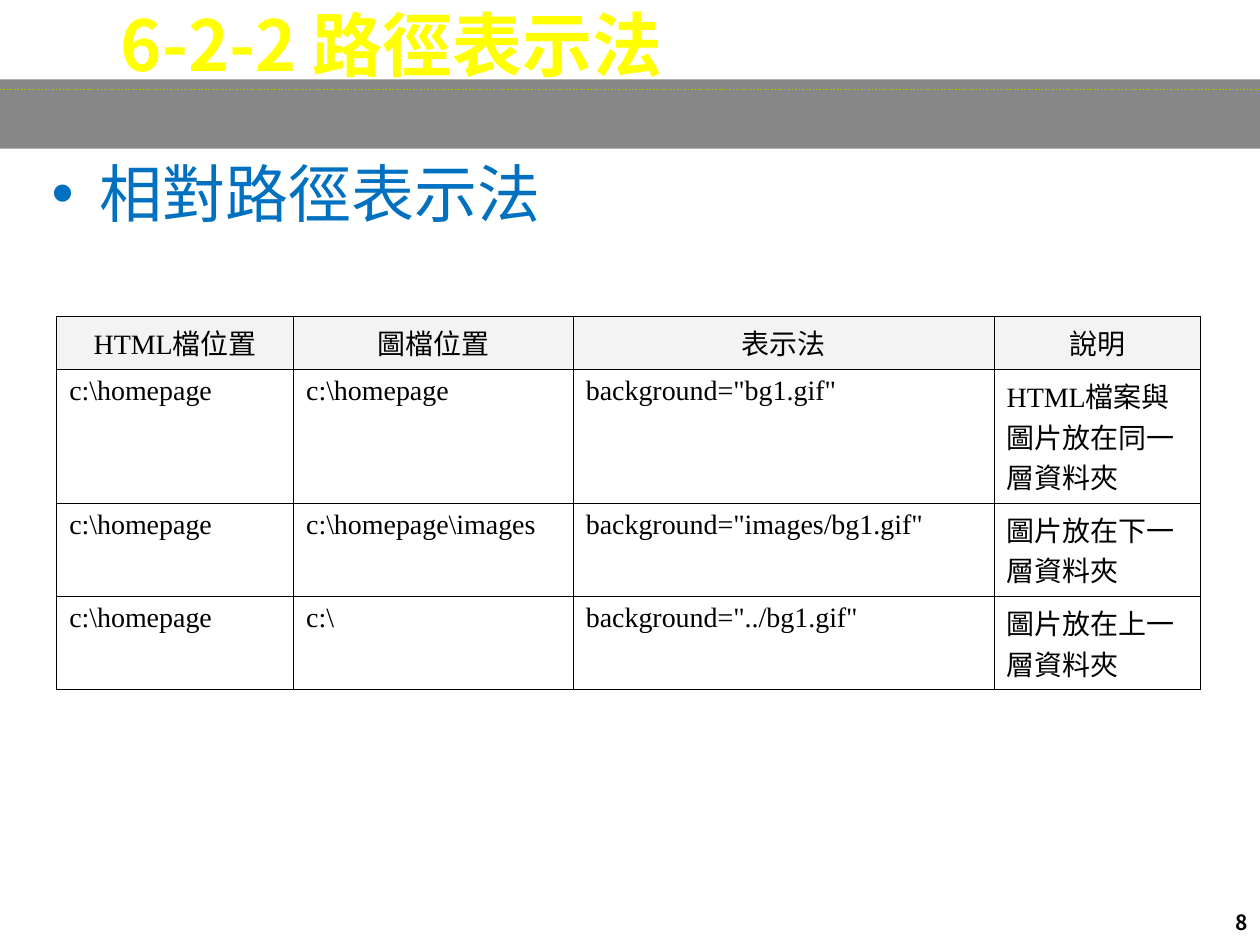
from lxml import etree
from pptx import Presentation
from pptx import util as u
from pptx.dml.color import RGBColor
from pptx.enum import dml, shapes, text
from pptx.oxml.ns import qn

COLORS = {"band": "111111", "rule": "99CC00", "title": "FFFF00", "topic": "0070C0",
          "ink": "000000", "header": "F3F3F3", "paper": "FFFFFF"}
CJK = "Noto Sans CJK SC"
COLUMN_WIDTHS = [1.88, 2.22, 3.34, 1.64]
ROW_HEIGHTS = [0.37, 1.01, 0.63, 0.63]
PATHS = [
    ["HTML檔位置", "圖檔位置", "表示法", "說明"],
    ["c:\\homepage", "c:\\homepage", 'background="bg1.gif"', "HTML檔案與圖片放在同一層資料夾"],
    ["c:\\homepage", "c:\\homepage\\images", 'background="images/bg1.gif"', "圖片放在下一層資料夾"],
    ["c:\\homepage", "c:\\", 'background="../bg1.gif"', "圖片放在上一層資料夾"],
]


def rgb(name):
    """Return the named palette colour."""
    return RGBColor.from_string(COLORS[name])


def inches(box):
    """Turn a box given in inches into lengths."""
    return [u.Inches(length) for length in box]


def child(parent, tag, **attributes):
    """Append a DrawingML element and return it."""
    return etree.SubElement(parent, qn(tag), attributes)


def add_words(paragraph, words, size, font, color, bold=False):
    """Add one formatted run to a paragraph."""
    run = paragraph.add_run()
    run.text = words
    run.font.size = u.Pt(size)
    run.font.name = font
    run.font.bold = bold
    run.font.color.rgb = rgb(color)
    child(run._r.get_or_add_rPr(), "a:ea", typeface=CJK)


def place_frame(holder, box):
    """Move a text holder and set up its wrapping and anchor."""
    holder.left, holder.top, holder.width, holder.height = inches(box)
    frame = holder.text_frame
    frame.word_wrap = True
    frame.auto_size = text.MSO_AUTO_SIZE.NONE
    frame.vertical_anchor = text.MSO_ANCHOR.TOP
    return frame.paragraphs[0]


def add_band(slide, box):
    """Put the translucent band and its dotted rule behind the title."""
    left, top, width, height = inches(box)
    band = slide.shapes.add_shape(shapes.MSO_SHAPE.RECTANGLE, left, top, width, height)
    band.shadow.inherit = False
    band.fill.solid()
    band.fill.fore_color.rgb = rgb("band")
    band.line.fill.background()
    child(band._element.spPr.find(qn("a:solidFill"))[0], "a:alpha", val="50000")

    rule_y = top + u.Inches(0.08)
    rule = slide.shapes.add_connector(shapes.MSO_CONNECTOR.STRAIGHT,
                                      left, rule_y, left + width, rule_y)
    rule.line.color.rgb = rgb("rule")
    rule.line.width = u.Pt(1)
    rule.line.dash_style = dml.MSO_LINE.ROUND_DOT
    child(rule._element.spPr, "a:effectLst")

    for depth, part in enumerate([band, rule], start=2):
        slide.shapes._spTree.insert(depth, part._element)


def fill_title(slide, box):
    """Write the section heading in the title placeholder."""
    heading = place_frame(slide.shapes.title, box)
    heading.alignment = text.PP_ALIGN.LEFT
    heading.line_spacing = 0.88
    add_words(heading, "6-2-2 路徑表示法", 40, CJK, "title", bold=True)


def fill_topic(slide, box):
    """Write the bulleted topic in the body placeholder."""
    topic = place_frame(slide.placeholders[1], box)
    properties = topic._p.get_or_add_pPr()
    indent = u.Inches(0.38)
    properties.set("marL", str(indent))
    properties.set("indent", str(-indent))
    child(child(properties, "a:buClr"), "a:srgbClr", val=COLORS["topic"])
    child(properties, "a:buFont", typeface="Arial")
    child(properties, "a:buChar", char="•")
    topic.space_before = u.Pt(0)
    topic.line_spacing = 0.88
    add_words(topic, "相對路徑表示法", 36, "Arial", "topic")


def add_borders(cell):
    """Draw a thin line on each side of a cell."""
    properties = cell._tc.get_or_add_tcPr()
    for depth, side in enumerate(["a:lnL", "a:lnR", "a:lnT", "a:lnB"]):
        border = child(properties, side, w=str(u.Pt(0.45)))
        child(child(border, "a:solidFill"), "a:srgbClr", val=COLORS["ink"])
        properties.insert(depth, border)


def add_path_table(slide, box):
    """Add the table of file places and relative paths."""
    table = slide.shapes.add_table(len(PATHS), len(PATHS[0]), *inches(box)).table
    table.first_row = False
    table.horz_banding = False
    for column, width in zip(table.columns, COLUMN_WIDTHS):
        column.width = u.Inches(width)
    for row, height, entries in zip(table.rows, ROW_HEIGHTS, PATHS):
        row.height = u.Inches(height)
        is_header = entries is PATHS[0]
        for cell, entry in zip(row.cells, entries):
            cell.fill.solid()
            cell.fill.fore_color.rgb = rgb("header" if is_header else "paper")
            add_borders(cell)
            paragraph = cell.text_frame.paragraphs[0]
            paragraph.alignment = text.PP_ALIGN.CENTER if is_header else text.PP_ALIGN.LEFT
            add_words(paragraph, entry, 16, "Times New Roman", "ink")


def add_page_number(slide, box):
    """Add the page number at the lower right."""
    number = place_frame(slide.shapes.add_textbox(*inches(box)), box)
    number.alignment = text.PP_ALIGN.RIGHT
    add_words(number, "8", 12, CJK, "ink", bold=True)


def main():
    """Build the slide and save it."""
    deck = Presentation()
    deck.slide_width, deck.slide_height = u.Inches(10), u.Inches(7.5)
    slide = deck.slides.add_slide(deck.slide_layouts[1])
    add_band(slide, (0, 0.63, 10, 0.55))
    fill_topic(slide, (0.31, 1.25, 9.45, 5.94))
    fill_title(slide, (0.86, 0.05, 8.98, 0.97))
    add_path_table(slide, (0.45, 2.51, 9.07, 2.65))
    add_page_number(slide, (7.67, 7.17, 2.33, 0.52))
    deck.save("out.pptx")


if __name__ == "__main__":
    main()
